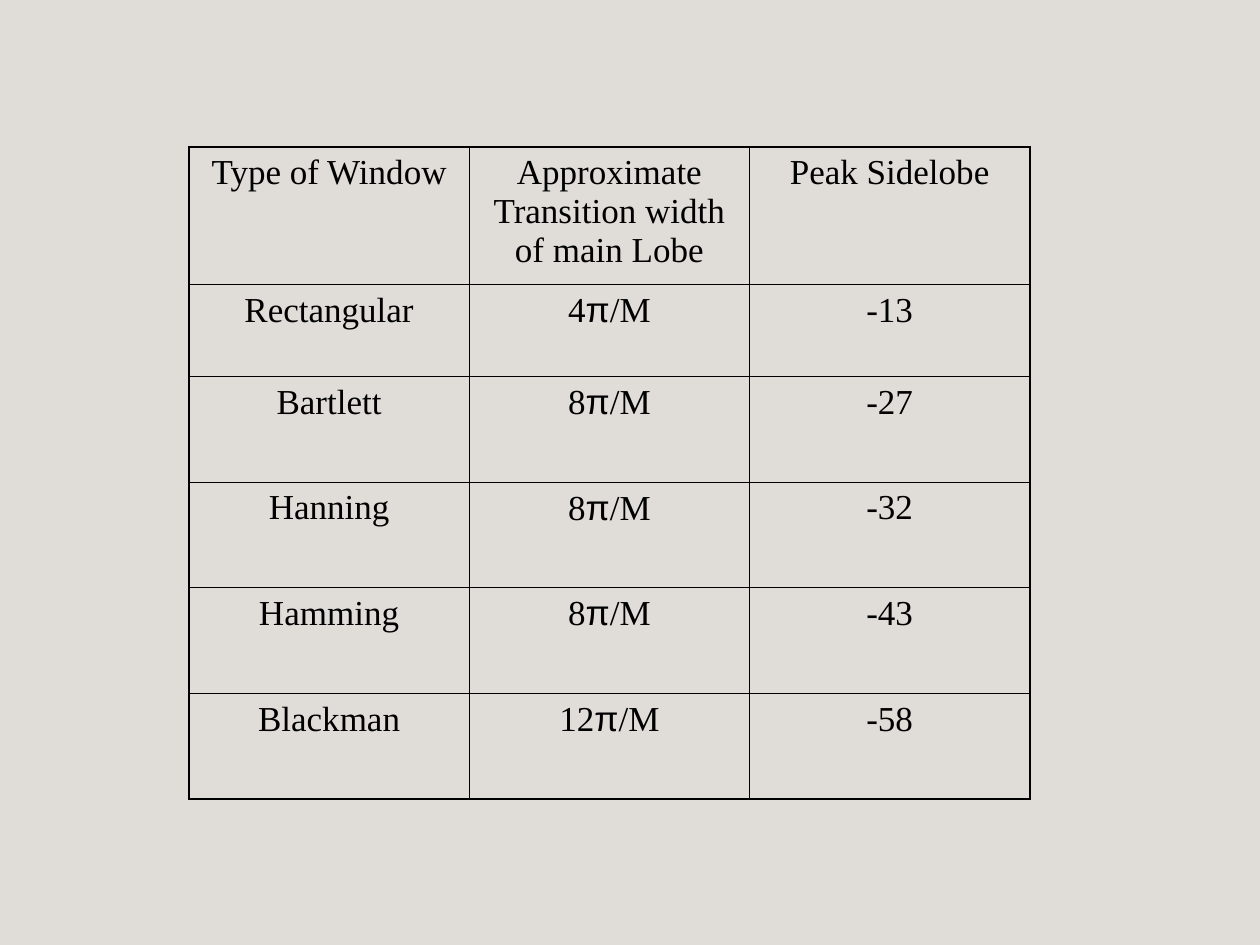
from lxml.etree import SubElement
from pptx import Presentation
from pptx.dml.color import RGBColor
from pptx.enum.text import PP_ALIGN
from pptx.oxml.ns import qn
from pptx.util import Cm, Pt

BLACK = RGBColor(0x00, 0x00, 0x00)
PAPER = RGBColor(0xE0, 0xDD, 0xD9)

WINDOWS = [
    ("Type of Window", "Approximate Transition width of main Lobe", "Peak Sidelobe"),
    ("Rectangular", "4π/M", "-13"),
    ("Bartlett", "8π/M", "-27"),
    ("Hanning", "8π/M", "-32"),
    ("Hamming", "8π/M", "-43"),
    ("Blackman", "12π/M", "-58"),
]
ROW_HEIGHTS = [2.78, 1.85] + [2.13] * 4
COL_WIDTH = 5.65


class SlideBuilder:
    """Draw styled elements on the current slide."""

    font = "Times New Roman"
    symbol_font = "Arial"
    size = Pt(20)
    inner, outer = Pt(0.45), Pt(1.08)

    def __init__(self, prs):
        self.s = prs.slides.add_slide(prs.slide_layouts[6])
        fill = self.s.background.fill
        fill.solid()
        fill.fore_color.rgb = PAPER

    def table(self, rows, left, top, col_width, heights):
        n_rows, n_cols = len(rows), len(rows[0])
        frame = self.s.shapes.add_table(
            n_rows, n_cols, Cm(left), Cm(top), Cm(col_width * n_cols), Cm(sum(heights))
        )
        tbl = frame.table
        tbl.first_row = tbl.horz_banding = False
        for col in tbl.columns:
            col.width = Cm(col_width)
        for i, (values, height) in enumerate(zip(rows, heights)):
            tbl.rows[i].height = Cm(height)
            for j, value in enumerate(values):
                cell = tbl.cell(i, j)
                edges = {"L": j == 0, "R": j == n_cols - 1, "T": i == 0, "B": i == n_rows - 1}
                self.borders(cell, edges)
                cell.fill.background()
                self.text(cell.text_frame.paragraphs[0], value)

    def borders(self, cell, edges):
        tc_pr = cell._tc.get_or_add_tcPr()
        for side, is_outer in edges.items():
            width = self.outer if is_outer else self.inner
            ln = SubElement(tc_pr, qn(f"a:ln{side}"), w=str(int(width)))
            fill = SubElement(ln, qn("a:solidFill"))
            SubElement(fill, qn("a:srgbClr"), val=str(BLACK))

    def text(self, p, value):
        p.alignment = PP_ALIGN.CENTER
        p.space_before = Pt(5)
        p.font.size = self.size
        p.font.name = self.font
        p.font.color.rgb = BLACK
        before, symbol, after = value.partition("π")
        for part in filter(None, (before, symbol, after)):
            r = p.add_run()
            r.text = part
            if part == "π":
                r.font.name = self.symbol_font


def main():
    prs = Presentation()
    prs.slide_width, prs.slide_height = Cm(25.4), Cm(19.05)
    SlideBuilder(prs).table(WINDOWS, 3.81, 2.96, COL_WIDTH, ROW_HEIGHTS)
    prs.save("out.pptx")


if __name__ == "__main__":
    main()
